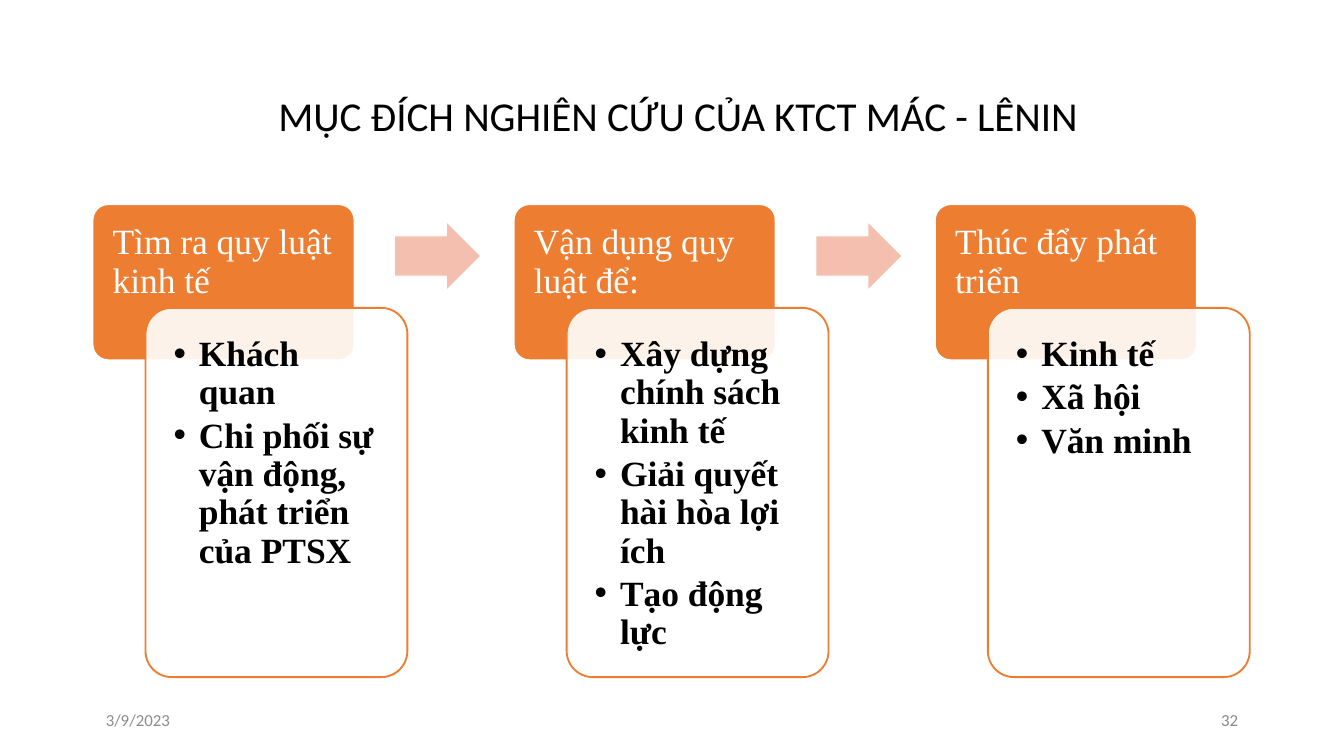
from lxml import etree
from pptx import Presentation
from pptx import util as u
from pptx.dml.color import RGBColor
from pptx.enum import shapes, text
from pptx.oxml import ns

HUES = {"main": "ED7D31", "pale": "F4BFAE", "white": "FFFFFF",
        "black": "000000", "date": "8C8C8C", "page": "898989"}
SERIF, SANS = "Times New Roman", "Calibri"
LEFT, STEP = 1.75, 7.96
STEPS = [
    ("Tìm ra quy luật kinh tế",
     ["Khách quan", "Chi phối sự vận động, phát triển của PTSX"]),
    ("Vận dụng quy luật để:",
     ["Xây dựng chính sách kinh tế", "Giải quyết hài hòa lợi ích", "Tạo động lực"]),
    ("Thúc đẩy phát triển", ["Kinh tế", "Xã hội", "Văn minh"]),
]


def place(box):
    return [u.Cm(n) for n in box]


def hue(name):
    return RGBColor.from_string(HUES[name])


def add_form(slide, kind, box, fill, line=None, adj=(0.1,), alpha=None):
    form = slide.shapes.add_shape(kind, *place(box))
    form.shadow.inherit = False
    for i, value in enumerate(adj):
        form.adjustments[i] = value
    form.fill.solid()
    form.fill.fore_color.rgb = hue(fill)
    if alpha:
        color = form._element.spPr.find(".//" + ns.qn("a:srgbClr"))
        etree.SubElement(color, ns.qn("a:alpha"), val=str(alpha * 1000))
    if line:
        form.line.color.rgb = hue(line)
        form.line.width = u.Pt(1)
    else:
        form.line.fill.background()


def add_box(slide, box, pads=None, middle=False):
    frame = slide.shapes.add_textbox(*place(box)).text_frame
    frame.word_wrap = True
    if middle:
        frame.vertical_anchor = text.MSO_ANCHOR.MIDDLE
    if pads:
        (frame.margin_left, frame.margin_top,
         frame.margin_right, frame.margin_bottom) = place(pads)
    return frame


def add_run(para, words, size, font, color, bold=False):
    run = para.add_run()
    run.text = words
    run.font.size = u.Pt(size)
    run.font.name = font
    run.font.bold = bold
    run.font.color.rgb = hue(color)


def add_dot(para):
    props = para._p.get_or_add_pPr()
    props.set("marL", str(u.Cm(0.48)))
    props.set("indent", str(-u.Cm(0.48)))
    etree.SubElement(props, ns.qn("a:buFont"), typeface="Arial")
    etree.SubElement(props, ns.qn("a:buChar"), char="•")
    para.level = 1


def add_head(slide, left, words):
    add_form(slide, shapes.MSO_SHAPE.ROUNDED_RECTANGLE,
             (left, 3.86, 4.95, 2.95), "main", "white")
    frame = add_box(slide, (left, 3.86, 4.95, 1.96), (0.38, 0.38, 0.38, 0.2))
    para = frame.paragraphs[0]
    para.line_spacing = 0.9
    add_run(para, words, 19, SERIF, "white")


def add_card(slide, left, items):
    add_form(slide, shapes.MSO_SHAPE.ROUNDED_RECTANGLE,
             (left + 1, 5.82, 4.95, 6.98), "white", "main", alpha=90)
    frame = add_box(slide, (left + 1.15, 5.97, 4.67, 6.68), [0.38] * 4)
    for i, item in enumerate(items):
        para = frame.add_paragraph() if i else frame.paragraphs[0]
        add_dot(para)
        para.line_spacing = 0.9
        para.space_after = u.Pt(2.7)
        add_run(para, item, 19, SERIF, "black", True)


def add_arrow(slide, left):
    add_form(slide, shapes.MSO_SHAPE.RIGHT_ARROW,
             (left + 5.72, 4.22, 1.6, 1.24), "pale", adj=(0.6, 0.5))


def add_title(slide, words):
    para = add_box(slide, (LEFT, 0.76, 21.9, 2.77), middle=True).paragraphs[0]
    para.alignment = text.PP_ALIGN.CENTER
    para.line_spacing = 0.9
    add_run(para, " ", 30, SANS, "black")
    add_run(para, words, 22, SANS, "black")


def add_foot(slide, left, words, color, align):
    para = add_box(slide, (left, 13.23, 5.72, 0.76), middle=True).paragraphs[0]
    para.alignment = align
    add_run(para, words, 9, SANS, color)


def main():
    deck = Presentation()
    deck.slide_width, deck.slide_height = u.Cm(25.4), u.Cm(14.29)
    slide = deck.slides.add_slide(deck.slide_layouts[6])
    add_title(slide, "MỤC ĐÍCH NGHIÊN CỨU CỦA KTCT MÁC - LÊNIN")
    for i, (head, items) in enumerate(STEPS):
        left = LEFT + i * STEP
        add_head(slide, left, head)
        add_card(slide, left, items)
        if i < len(STEPS) - 1:
            add_arrow(slide, left)
    add_foot(slide, LEFT, "3/9/2023", "date", text.PP_ALIGN.LEFT)
    add_foot(slide, 17.93, "32", "page", text.PP_ALIGN.RIGHT)
    deck.save("out.pptx")


if __name__ == "__main__":
    main()
